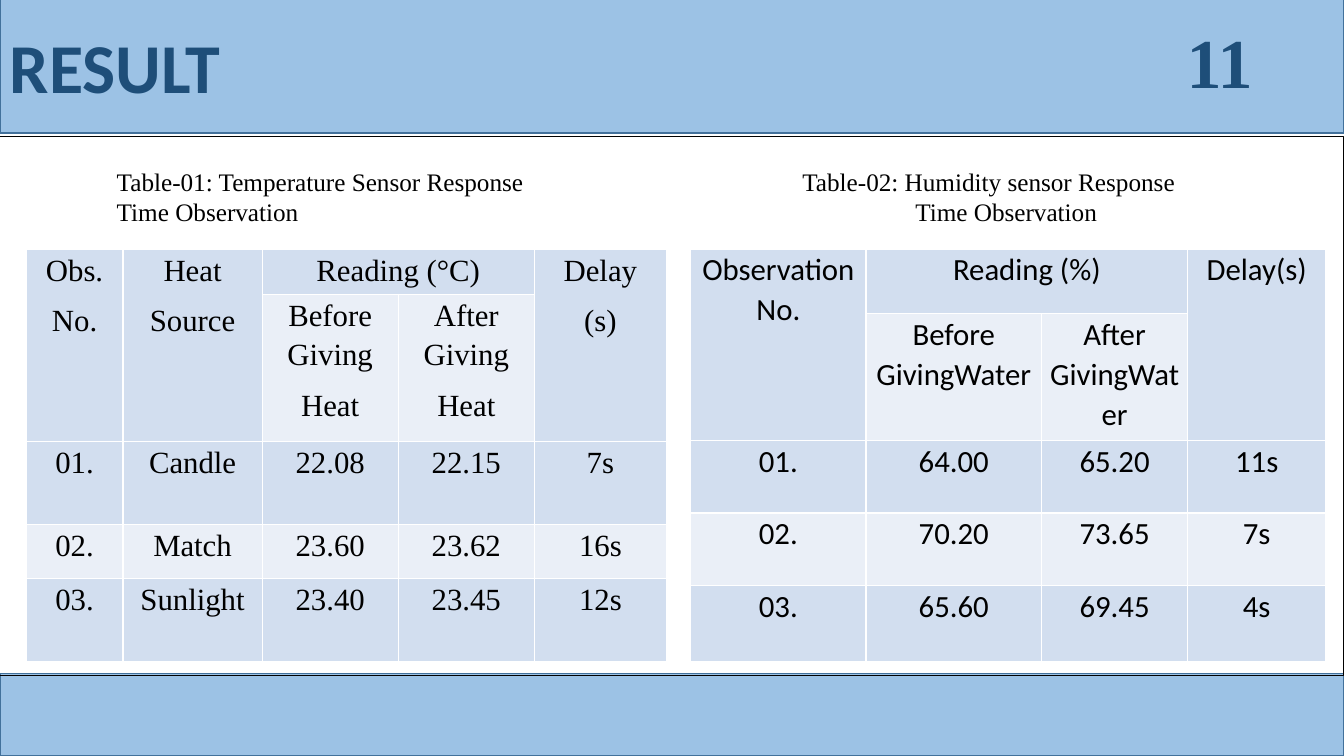
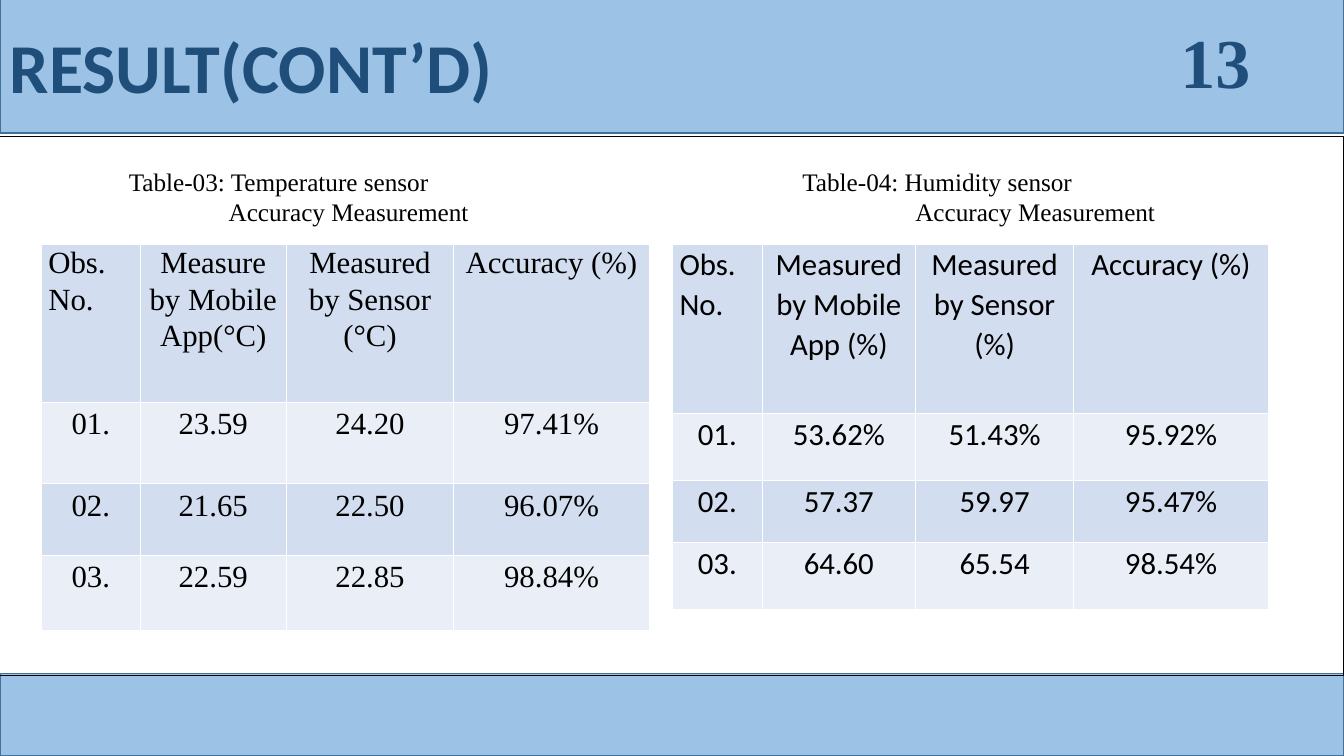
from pptx import Presentation
from pptx.dml.color import RGBColor
from pptx.enum.shapes import MSO_SHAPE
from pptx.enum.text import MSO_ANCHOR, PP_ALIGN
from pptx.util import Inches, Pt

BAND_BLUE = RGBColor(0x9C, 0xC2, 0xE5)
BAND_EDGE = RGBColor(0x42, 0x71, 0x9B)
TITLE_BLUE = RGBColor(0x1E, 0x4E, 0x79)
BLACK = RGBColor(0, 0, 0)
ROW_FILLS = (RGBColor(0xD2, 0xDE, 0xEF), RGBColor(0xEA, 0xEF, 0xF7))

SANS, SERIF = "Calibri", "Times New Roman"
SLIDE_WIDTH, SLIDE_HEIGHT = 13.33, 7.5
NUMBER_RIGHT = 12.65
CAPTION_TOP = 1.6
LEFT_HEADER = "Obs. No."

HEADING = {"size": Pt(50), "bold": True}
CELL_FORMAT = {
    "margin_left": Inches(0.07), "margin_right": Inches(0.07),
    "margin_top": 0, "margin_bottom": 0, "vertical_anchor": MSO_ANCHOR.TOP,
}

# Caption lines are (text, indent). Merges are (first row, first column, last row, last column).
# Line spacing is (header, body). None marks a cell covered by a merge.
SLIDES = [
    {
        "title": "RESULT", "number": "11", "number_left": 11.67,
        "captions": [
            {"left": 1.06, "width": 4.74, "lines": [
                ("Table-01: Temperature Sensor Response", 0), ("Time Observation", 0)]},
            {"left": 7.86, "width": 5.37, "lines": [
                ("Table-02: Humidity sensor Response", 0), ("Time Observation", 1.12)]},
        ],
        "tables": [
            {
                "at": (0.26, 2.47), "font": SERIF, "spacing": (1.15, 1.15),
                "columns": [0.96, 1.38, 1.35, 1.35, 1.31],
                "heights": [0.45, 1.46, 0.82, 0.54, 0.82],
                "merges": [(0, 0, 1, 0), (0, 1, 1, 1), (0, 2, 0, 3), (0, 4, 1, 4)],
                "rows": [
                    ("Obs.\nNo.", "Heat\nSource", "Reading (°C)", None, "Delay\n(s)"),
                    (None, None, "Before Giving\nHeat", "After Giving\nHeat", None),
                    ("01.", "Candle", "22.08", "22.15", "7s"),
                    ("02.", "Match", "23.60", "23.62", "16s"),
                    ("03.", "Sunlight", "23.40", "23.45", "12s"),
                ],
            },
            {
                "at": (6.85, 2.47), "font": SANS, "spacing": (1.07, 1.07),
                "columns": [1.74, 1.74, 1.45, 1.37],
                "heights": [0.64, 1.26, 0.72, 0.72, 0.75],
                "merges": [(0, 0, 1, 0), (0, 1, 0, 2), (0, 3, 1, 3)],
                "rows": [
                    ("Observation No.", "Reading (%)", None, "Delay(s)"),
                    (None, "Before GivingWater", "After GivingWater", None),
                    ("01.", "64.00", "65.20", "11s"),
                    ("02.", "70.20", "73.65", "7s"),
                    ("03.", "65.60", "69.45", "4s"),
                ],
            },
        ],
    },
    {
        "title": "RESULT(CONT’D)", "number": "13", "number_left": 11.61,
        "captions": [
            {"left": 1.06, "width": 4.74, "lines": [
                ("Table-03: Temperature sensor", 0.12), ("Accuracy Measurement", 1.11)]},
            {"left": 7.86, "width": 5.37, "lines": [
                ("Table-04: Humidity sensor", 0), ("Accuracy Measurement", 1.12)]},
        ],
        "tables": [
            {
                "at": (0.41, 2.42), "font": SERIF, "spacing": (1.07, 1.15),
                "columns": [0.98, 1.45, 1.66, 1.94],
                "heights": [1.57, 0.81, 0.71, 0.75],
                "merges": [],
                "rows": [
                    (LEFT_HEADER, "Measure by Mobile App(°C)", "Measured by Sensor (°C)", "Accuracy (%)"),
                    ("01.", "23.59", "24.20", "97.41%"),
                    ("02.", "21.65", "22.50", "96.07%"),
                    ("03.", "22.59", "22.85", "98.84%"),
                ],
            },
            {
                "at": (6.67, 2.42), "font": SANS, "spacing": (1.07, 1.07),
                "columns": [0.89, 1.52, 1.57, 1.93],
                "heights": [1.68, 0.67, 0.61, 0.67],
                "merges": [],
                "rows": [
                    (LEFT_HEADER, "Measured by Mobile App (%)", "Measured by Sensor (%)", "Accuracy (%)"),
                    ("01.", "53.62%", "51.43%", "95.92%"),
                    ("02.", "57.37", "59.97", "95.47%"),
                    ("03.", "64.60", "65.54", "98.54%"),
                ],
            },
        ],
    },
]


def apply_format(target, values):
    for name, value in values.items():
        setattr(target, name, value)


def style_font(font, name, color, **values):
    apply_format(font, {"name": name, **values})
    font.color.rgb = color


def add_box(slide, top, height, edge, edge_width, fill=None):
    """Add a rectangle across the whole slide width."""
    box = slide.shapes.add_shape(
        MSO_SHAPE.RECTANGLE, 0, Inches(top), Inches(SLIDE_WIDTH), Inches(height))
    box.shadow.inherit = False
    if fill is None:
        box.fill.background()
    else:
        box.fill.solid()
        box.fill.fore_color.rgb = fill
    box.line.color.rgb = edge
    box.line.width = Pt(edge_width)
    return box


def add_text_frame(slide, left, top, width, height):
    frame = slide.shapes.add_textbox(
        Inches(left), Inches(top), Inches(width), Inches(height)).text_frame
    frame.word_wrap = True
    return frame


def add_frame(slide, title, number, number_left):
    """Add the bands, title, page number and outlined body area."""
    add_box(slide, 6.68, 0.82, BAND_EDGE, 1, BAND_BLUE)
    header = add_box(slide, -0.02, 1.34, BAND_EDGE, 1, BAND_BLUE).text_frame
    header.vertical_anchor = MSO_ANCHOR.MIDDLE
    heading = header.paragraphs[0]
    heading.text = title
    heading.alignment = PP_ALIGN.LEFT
    style_font(heading.font, SANS, TITLE_BLUE, **HEADING)

    page = add_text_frame(slide, number_left, 0.13, NUMBER_RIGHT - number_left, 0.94).paragraphs[0]
    page.text = number
    style_font(page.font, SERIF, TITLE_BLUE, **HEADING)
    add_box(slide, 1.35, 5.35, BLACK, 0.75)


def add_caption(slide, left, width, lines):
    frame = add_text_frame(slide, left, CAPTION_TOP, width, 0.71)
    frame.text = "\n".join(text for text, _ in lines)
    for paragraph, (_, indent) in zip(frame.paragraphs, lines):
        paragraph._p.get_or_add_pPr().set("marL", str(Inches(indent)))
        style_font(paragraph.font, SERIF, BLACK, size=Pt(18))


def fill_cell(cell, text, fill, font, spacing):
    apply_format(cell, CELL_FORMAT)
    cell.fill.solid()
    cell.fill.fore_color.rgb = fill
    if text is None:
        return
    cell.text = text
    for paragraph in cell.text_frame.paragraphs:
        apply_format(paragraph, {
            "alignment": PP_ALIGN.LEFT if text == LEFT_HEADER else PP_ALIGN.CENTER,
            "line_spacing": spacing, "space_after": Pt(8),
        })
        style_font(paragraph.font, font, BLACK, size=Pt(22))


def add_readings(slide, at, font, spacing, columns, heights, merges, rows):
    left, top = at
    table = slide.shapes.add_table(
        len(rows), len(columns), Inches(left), Inches(top),
        Inches(sum(columns)), Inches(sum(heights))).table
    table.first_row = False
    for column, width in zip(table.columns, columns):
        column.width = Inches(width)
    for row, height in zip(table.rows, heights):
        row.height = Inches(height)
    for row_no, row in enumerate(rows):
        for column_no, text in enumerate(row):
            fill_cell(table.cell(row_no, column_no), text, ROW_FILLS[row_no % 2],
                      font, spacing[min(row_no, 1)])
    for first_row, first_column, last_row, last_column in merges:
        table.cell(first_row, first_column).merge(table.cell(last_row, last_column))


def main():
    deck = Presentation()
    deck.slide_width, deck.slide_height = Inches(SLIDE_WIDTH), Inches(SLIDE_HEIGHT)
    for content in SLIDES:
        slide = deck.slides.add_slide(deck.slide_layouts[6])
        add_frame(slide, content["title"], content["number"], content["number_left"])
        for readings in content["tables"]:
            add_readings(slide, **readings)
        for caption in content["captions"]:
            add_caption(slide, **caption)
    deck.save("out.pptx")


if __name__ == "__main__":
    main()
